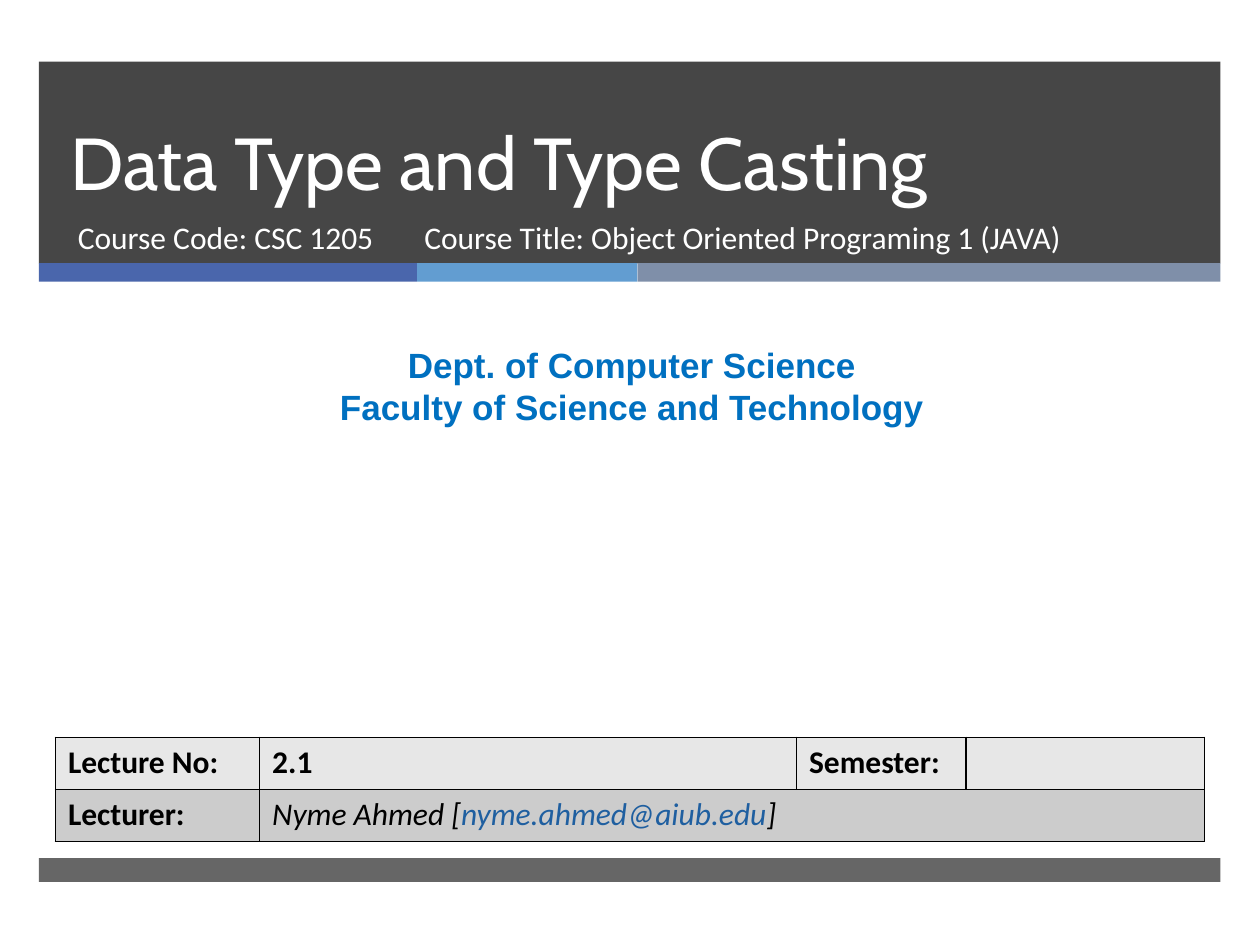
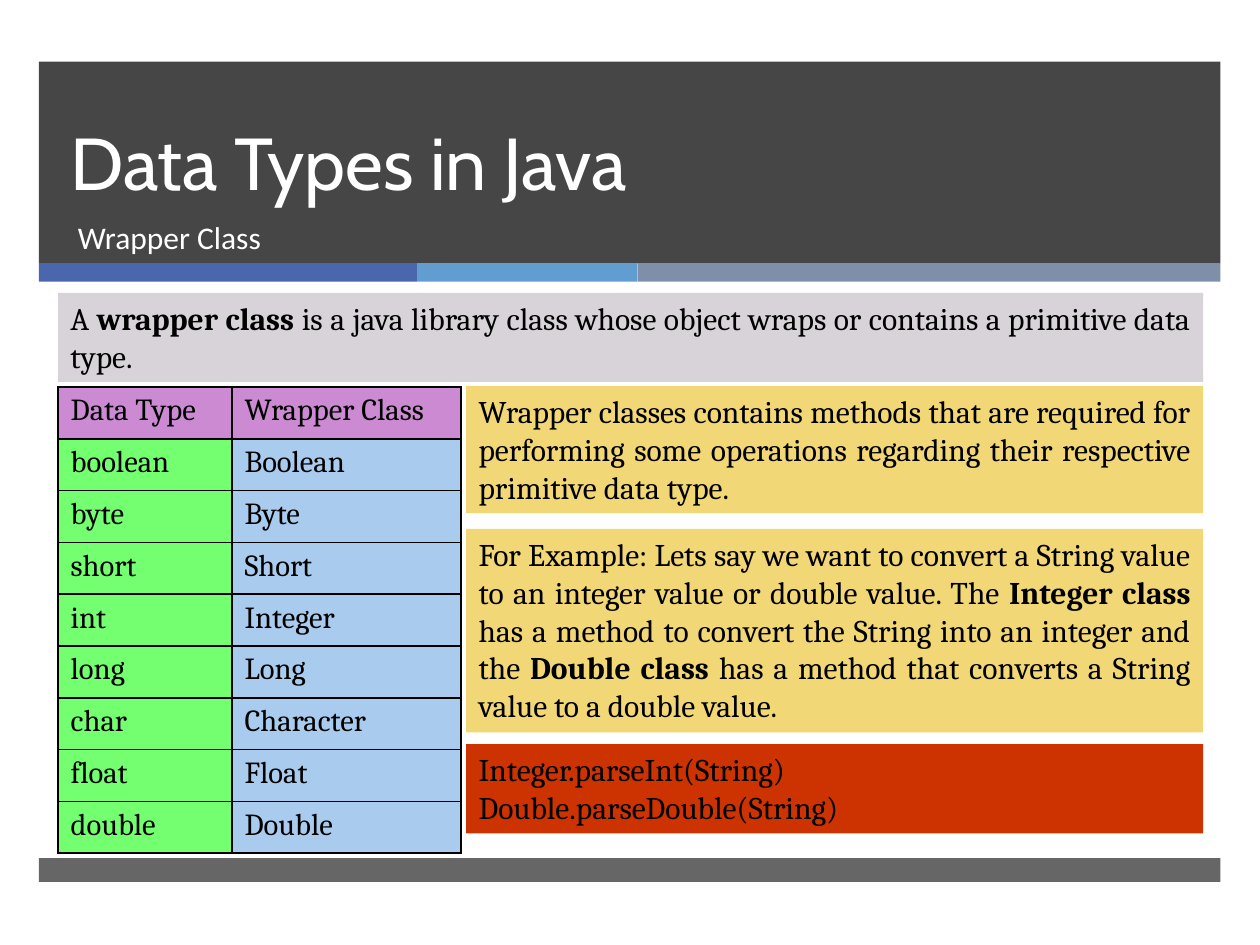
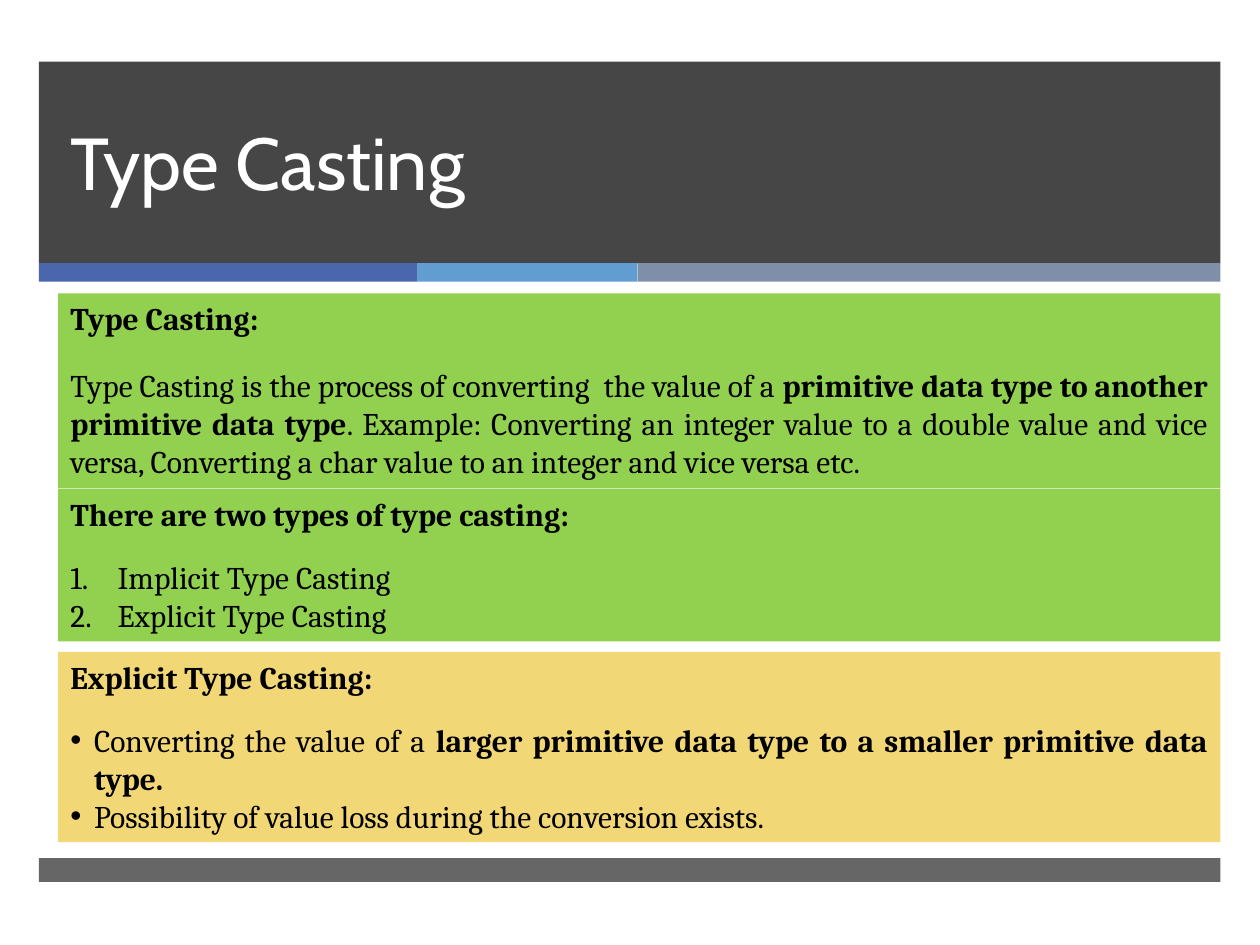
from lxml.etree import SubElement
from pptx import Presentation
from pptx.dml.color import RGBColor as RGB
from pptx.enum.shapes import MSO_SHAPE as Shape
from pptx.enum.text import MSO_ANCHOR as Anchor, PP_ALIGN as Align
from pptx.oxml import parse_xml
from pptx.oxml.ns import nsdecls, qn
from pptx.util import Pt

# Colours
BLACK = RGB(0, 0, 0)
WHITE = RGB(255, 255, 255)
DARK = RGB(0x26, 0x26, 0x26)
NAVY = RGB(0x4A, 0x66, 0xAC)
SKY = RGB(0x62, 0x9D, 0xD1)
SLATE = RGB(0x7F, 0x8F, 0xA9)
BLUE = RGB(0x00, 0x70, 0xC0)
LINK = RGB(0x1F, 0x5F, 0xA0)
PALE = RGB(0xE7, 0xE7, 0xE7)
GREY = RGB(0xCC, 0xCC, 0xCC)
MAUVE = RGB(0xD8, 0xD3, 0xD9)
PLUM = RGB(0xCB, 0x8A, 0xD2)
LIME = RGB(0x74, 0xFF, 0x71)
ICE = RGB(0xA9, 0xCC, 0xEE)
SAND = RGB(0xF2, 0xD7, 0x76)
RED = RGB(0xCC, 0x33, 0x00)
GREEN = RGB(0x92, 0xD0, 0x50)

# Shared frame, in points
LEFT, WIDTH = 22.3, 675.1
EDGE = 33.2
STRIPS = [(NAVY, 216), (SKY, 126), (SLATE, 333.1)]


class Deck:
    def __init__(self):
        self.prs = Presentation()
        self.prs.slide_width, self.prs.slide_height = Pt(720), Pt(540)
        self.slide = None

    def page(self, title):
        """Start a slide with its bands and title."""
        self.slide = self.prs.slides.add_slide(self.prs.slide_layouts[6])
        self.rect((LEFT, 35.2, WIDTH, 115.3), DARK, 85)
        x = LEFT
        for color, width in STRIPS:
            self.rect((x, 150.4, width, 10.6), color)
            x += width
        self.rect((LEFT, 490.3, WIDTH, 13.7), DARK, 70)
        pars = self.label((EDGE, 35.3, 615, 85.7), [title], "Cabin", 42,
                          anchor=Anchor.BOTTOM)
        pars[0].line_spacing = Pt(46)

    def rect(self, spot, color, alpha=100):
        box = self.slide.shapes.add_shape(Shape.RECTANGLE, *map(Pt, spot))
        box.shadow.inherit = False
        box.fill.solid()
        box.fill.fore_color.rgb = color
        box.line.fill.background()
        if alpha < 100:
            tint = box._element.spPr.find(qn("a:solidFill"))[0]
            SubElement(tint, qn("a:alpha")).set("val", str(alpha * 1000))
        return box

    def put(self, frame, lines, font, size, color, bold=False,
            align=Align.LEFT):
        """Fill a frame with lines; asterisks switch bold on and off."""
        frame.word_wrap = True
        frame.text = "\n".join(lines)
        for par in frame.paragraphs:
            first, *rest = par.text.split("*")
            par.text = first
            for part in rest:
                par.add_run().text = part
            par.alignment = align
            for i, run in enumerate(par.runs):
                face = run.font
                face.name, face.size = font, Pt(size)
                face.bold = bold or i % 2 == 1
                face.color.rgb = color
        return frame.paragraphs

    def label(self, spot, lines, font="Calibri", size=18, color=WHITE,
              bold=False, align=Align.LEFT, anchor=Anchor.TOP):
        frame = self.slide.shapes.add_textbox(*map(Pt, spot)).text_frame
        frame.vertical_anchor = anchor
        return self.put(frame, lines, font, size, color, bold, align)

    def panel(self, spot, color, lines, align=Align.JUSTIFY):
        frame = self.rect(spot, color).text_frame
        frame.vertical_anchor = Anchor.TOP
        return self.put(frame, lines, "Cambria", 18, BLACK, align=align)

    def topic(self, top, high, color, head, body, gap, mark=None, dent=0):
        """Panel with a bold heading and a marked or plain body."""
        pars = self.panel((EDGE, top, 664.2, high), color, [head] + body)
        pars[0].alignment = Align.LEFT
        pars[0].runs[0].font.bold = True
        pars[1].space_before = Pt(gap)
        if mark:
            for par in pars[1:]:
                props = par._p.get_or_add_pPr()
                props.set("marL", str(Pt(dent)))
                props.set("indent", str(Pt(-dent)))
                if mark == "1.":
                    SubElement(props, qn("a:buAutoNum")).set(
                        "type", "arabicPeriod")
                else:
                    SubElement(props, qn("a:buFont")).set("typeface", "Arial")
                    SubElement(props, qn("a:buChar")).set("char", mark)

    def table(self, spot, cols, rows, tint, font, size, bold=False):
        """Bordered table; tint(row, col) gives the fill of a cell."""
        grid = self.slide.shapes.add_table(len(rows), len(cols),
                                           *map(Pt, spot)).table
        for col, width in zip(grid.columns, cols):
            col.width = Pt(width)
        for r, row in enumerate(rows):
            grid.rows[r].height = Pt(spot[3] / len(rows))
            for c, text in enumerate(row):
                cell = grid.cell(r, c)
                cell.fill.solid()
                cell.fill.fore_color.rgb = tint(r, c)
                self.put(cell.text_frame, [text], font, size, BLACK, bold)
                self.border(cell)
        return grid

    def border(self, cell):
        props = cell._tc.get_or_add_tcPr()
        for i, side in enumerate("LRTB"):
            props.insert(i, parse_xml(
                f'<a:ln{side} {nsdecls("a")} w="12700"><a:solidFill>'
                f'<a:srgbClr val="{BLACK}"/></a:solidFill></a:ln{side}>'))


def cover(deck):
    deck.page("Data Type and Type Casting")
    deck.label((37.4, 121, 219.6, 38.2), ["Course Code: CSC 1205"])
    deck.label((5.8, 193, 710.6, 55.4),
               ["Dept. of Computer Science",
                "Faculty of Science and Technology"],
               "Arial", 20, BLUE, True, Align.CENTER)
    deck.label((235.4, 121, 389.5, 38.2),
               ["Course Title: Object Oriented Programing 1 (JAVA)"])
    grid = deck.table((31.7, 421.4, 656.6, 59.6), [116.7, 306.8, 97, 136.1],
                      [["Lecture No:", "2.1", "Semester:", ""],
                       ["Lecturer:", "Nyme Ahmed [*nyme.ahmed@aiub.edu*]",
                        "", ""]],
                      lambda r, c: (PALE, GREY)[r], "Calibri", 18, True)
    name = grid.cell(1, 1)
    name.merge(grid.cell(1, 3))
    runs = name.text_frame.paragraphs[0].runs
    for run in runs:
        run.font.bold, run.font.italic = False, True
    runs[1].font.color.rgb = LINK


def wrappers(deck):
    deck.page("Data Types in Java")
    deck.label((37.4, 121, 610.6, 38.2), ["Wrapper Class"])
    deck.panel((EDGE, 167.4, 654.3, 50.9), MAUVE,
               ["A *wrapper class *is a java library class whose object wraps "
                "or contains a primitive data type."])
    pairs = [("Data Type", "Wrapper Class"), ("boolean", "Boolean"),
             ("byte", "Byte"), ("short", "Short"), ("int", "Integer"),
             ("long", "Long"), ("char", "Character"), ("float", "Float"),
             ("double", "Double")]
    deck.table((EDGE, 221.2, 230.2, 266.4), [99.4, 130.8], pairs,
               lambda r, c: (LIME, ICE)[c] if r else PLUM, "Cambria", 17.5)

    # Notes beside the table
    x, width = 266.4, 421.1
    deck.panel((x, 220.5, width, 72.7), SAND,
               ["Wrapper classes contains methods that are required for "
                "performing some operations regarding their respective "
                "primitive data type."])
    deck.panel((x, 302.2, width, 116.4), SAND,
               ["For Example: Lets say we want to convert a String value to "
                "an integer value or double value. The *Integer class *has a "
                "method to convert the String into an integer and the "
                "*Double class *has a method that converts a String value to "
                "a double value."])
    deck.panel((x, 425.3, width, 50.9), RED,
               ["Integer.parseInt(String)", "Double.parseDouble(String)"],
               Align.LEFT)


def casting(deck):
    deck.page("Type Casting")
    deck.topic(167.6, 111.4, GREEN, "Type Casting:",
               ["Type Casting is the process of converting  the value of a "
                "*primitive data type to another primitive data type*. "
                "Example: Converting an integer value to a double value and "
                "vice versa, Converting a char value to an integer and vice "
                "versa etc."], 16.6)
    deck.topic(279.3, 87.2, GREEN, "There are two types of type casting:",
               ["Implicit Type Casting", "Explicit Type Casting"],
               14.4, "1.", 27)
    deck.topic(372.5, 108.7, SAND, "Explicit Type Casting:",
               ["Converting the value of a *larger primitive data type to a "
                "smaller primitive data type.",
                "Possibility of value loss during the conversion exists."],
               14.4, "•", 13.5)


def main():
    deck = Deck()
    for build in (cover, wrappers, casting):
        build(deck)
    deck.prs.save("out.pptx")


if __name__ == "__main__":
    main()
